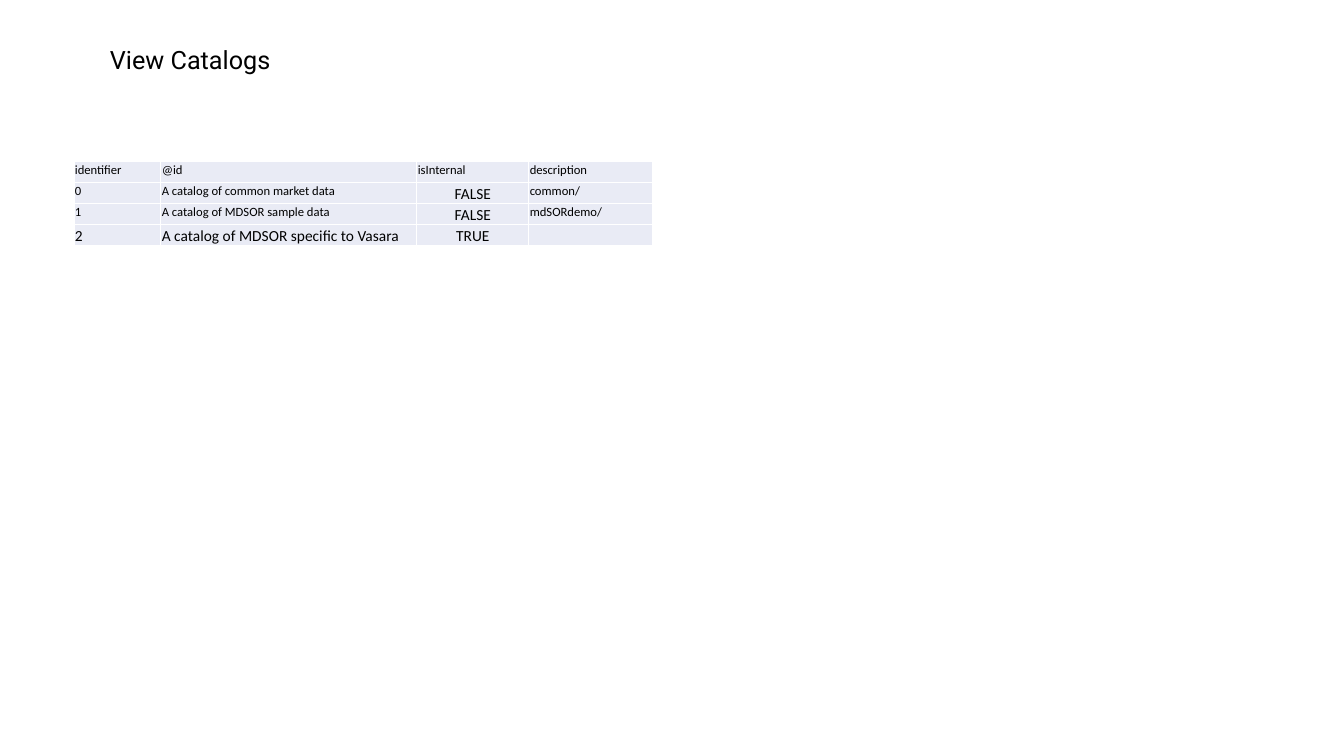
from dataclasses import dataclass

from lxml import etree
from pptx import Presentation
from pptx.dml.color import RGBColor
from pptx.enum.text import MSO_ANCHOR, MSO_AUTO_SIZE, PP_ALIGN
from pptx.oxml.ns import qn
from pptx.util import Inches, Pt

TOP, BOTTOM = MSO_ANCHOR.TOP, MSO_ANCHOR.BOTTOM
LEFT, CENTER = PP_ALIGN.LEFT, PP_ALIGN.CENTER
FIT_SHAPE = MSO_AUTO_SIZE.SHAPE_TO_FIT_TEXT
TITLE_ONLY = 5
GRID_COLUMNS, GRID_ROWS = 100, 36


@dataclass(frozen=True)
class Theme:
    ink: str = "000000"
    cell: str = "E9EBF5"
    rule: str = "FFFFFF"
    title_font: str = "Roboto"
    table_font: str = "Calibri"
    title_size: int = 18
    small: int = 9
    large: int = 11


CATALOGS = [
    ("identifier", "@id", "isInternal", "description"),
    ("0", "A catalog of common market data", "FALSE", "common/"),
    ("1", "A catalog of MDSOR sample data", "FALSE", "mdSORdemo/"),
    ("2", "A catalog of MDSOR specific to Vasara", "TRUE", ""),
]
FLAG_COLUMN = CATALOGS[0].index("isInternal")
LAST_ROW = len(CATALOGS) - 1


class CatalogSlide:
    def __init__(self, presentation, theme):
        self.theme = theme
        self.column = presentation.slide_width / GRID_COLUMNS
        self.row = presentation.slide_height / GRID_ROWS
        self.slide = presentation.slides.add_slide(
            presentation.slide_layouts[TITLE_ONLY])

    def box(self, left, top, width, height):
        """Turn grid columns and rows into slide lengths."""
        return (round(left * self.column), round(top * self.row),
                round(width * self.column), round(height * self.row))

    def add_text(self, paragraph, text, font, size, align=LEFT):
        paragraph.alignment = align
        if not text:
            paragraph._p.get_or_add_endParaRPr().set("sz", str(size * 100))
            return
        run = paragraph.add_run()
        run.text = text
        formats = {"name": font, "size": Pt(size), "bold": False}
        for name, value in formats.items():
            setattr(run.font, name, value)
        run.font.color.rgb = RGBColor.from_string(self.theme.ink)

    def title(self, text, place):
        heading = self.slide.shapes.title
        heading.left, heading.top, heading.width, heading.height = self.box(*place)
        frame = heading.text_frame
        formats = {"word_wrap": True, "vertical_anchor": TOP, "auto_size": FIT_SHAPE}
        for name, value in formats.items():
            setattr(frame, name, value)
        self.add_text(frame.paragraphs[0], text,
                      self.theme.title_font, self.theme.title_size)

    def table(self, records, left, top, widths):
        place = self.box(left, top, sum(widths), len(records))
        table = self.slide.shapes.add_table(len(records), len(widths), *place).table
        table.first_row = table.horz_banding = False
        for column, width in zip(table.columns, widths):
            column.width = round(width * self.column)
        for r, record in enumerate(records):
            for c, text in enumerate(record):
                is_flag = r > 0 and c == FLAG_COLUMN
                self.cell(table.cell(r, c), text, is_flag or r == LAST_ROW,
                          CENTER if is_flag else LEFT)

    def cell(self, cell, text, is_large, align):
        formats = {
            "margin_left": Inches(0.01), "margin_right": Inches(0.01),
            "margin_top": Inches(0.01), "margin_bottom": 0,
            "vertical_anchor": BOTTOM if is_large else TOP,
        }
        for name, value in formats.items():
            setattr(cell, name, value)
        self.borders(cell)
        cell.fill.solid()
        cell.fill.fore_color.rgb = RGBColor.from_string(self.theme.cell)
        self.add_text(cell.text_frame.paragraphs[0], text, self.theme.table_font,
                      self.theme.large if is_large else self.theme.small, align)

    def borders(self, cell):
        properties = cell._tc.get_or_add_tcPr()
        for edge in ("a:lnL", "a:lnR", "a:lnT", "a:lnB"):
            line = etree.SubElement(properties, qn(edge), w=str(Pt(1)))
            fill = etree.SubElement(line, qn("a:solidFill"))
            etree.SubElement(fill, qn("a:srgbClr"), val=self.theme.rule)


def main():
    presentation = Presentation()
    presentation.slide_width = Inches(13.33)
    presentation.slide_height = Inches(7.5)
    page = CatalogSlide(presentation, Theme())
    page.title("View Catalogs", (7.43, 1.87, 50, 1.94))
    page.table(CATALOGS, left=5.5, top=7.68, widths=(6.47, 19.05, 8.33, 9.18))
    presentation.save("out.pptx")


if __name__ == "__main__":
    main()
